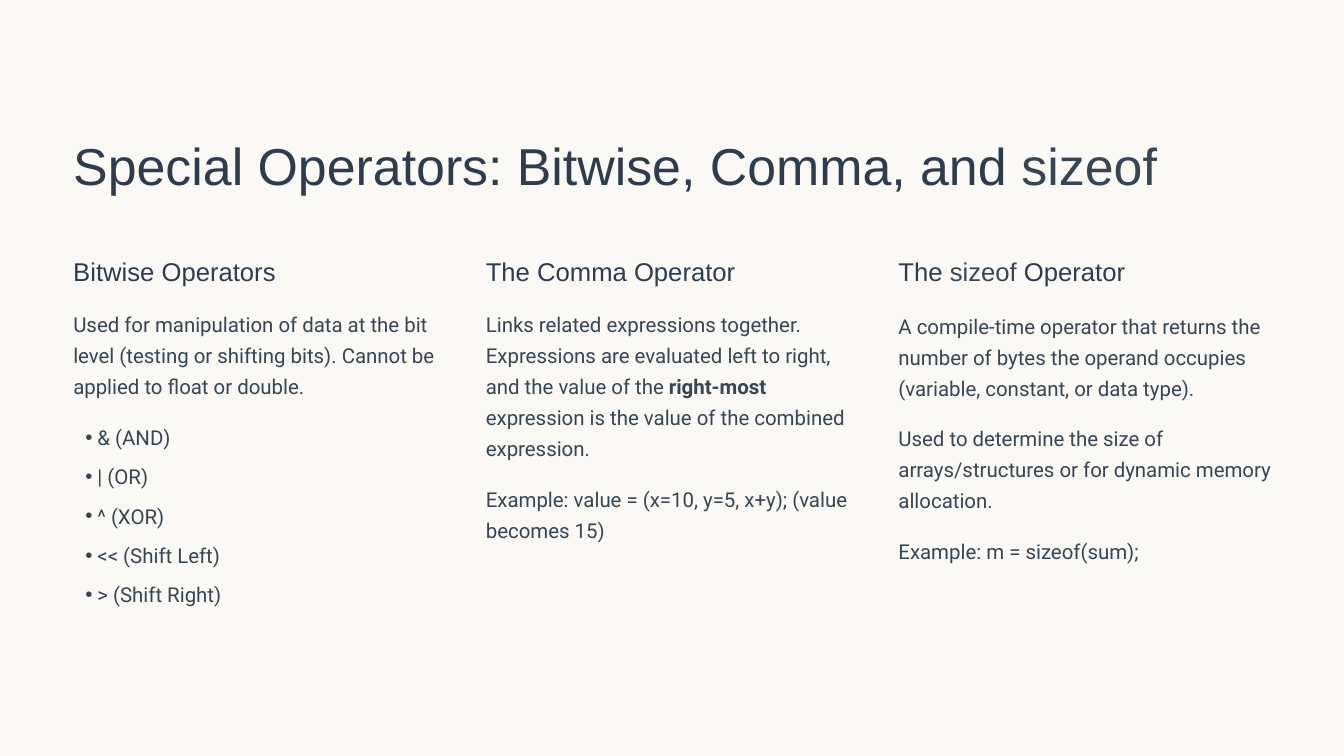
from dataclasses import dataclass

from lxml.etree import SubElement
from pptx import Presentation
from pptx.dml.color import RGBColor
from pptx.enum.shapes import MSO_SHAPE
from pptx.enum.text import MSO_AUTO_SIZE
from pptx.oxml.ns import qn
from pptx.util import Pt

PX = 9144  # EMU per px, 100 px to the inch


@dataclass(frozen=True)
class TextStyle:
    font: str
    size: float
    leading: float
    color: str


@dataclass(frozen=True)
class Theme:
    paper: str = "FAF9F5"
    code: str = "384653"
    title: TextStyle = TextStyle("Arial", 55.56, 69.4, "2E3C4E")
    heading: TextStyle = TextStyle("Arial", 27.5, 34.4, "2E3C4E")
    body: TextStyle = TextStyle("Roboto", 21.87, 33.1, "384653")
    bullet_font: str = "Arial"
    bullet_gap: float = 9
    bullet_indent: int = 18


class Deck:
    def __init__(self, theme, width, height):
        self.theme = theme
        self.prs = Presentation()
        self.prs.slide_width, self.prs.slide_height = width * PX, height * PX

    def add_slide(self):
        self.s = self.prs.slides.add_slide(self.prs.slide_layouts[6])

    def paper(self):
        """Cover the whole slide with the paper colour."""
        sp = self.s.shapes.add_shape(MSO_SHAPE.RECTANGLE, 0, 0,
                                     self.prs.slide_width, self.prs.slide_height)
        sp.shadow.inherit = False
        sp.fill.solid()
        sp.fill.fore_color.rgb = RGBColor.from_string(self.theme.paper)
        sp.line.fill.background()

    def frame(self, x, y, w, h):
        """Add a text box without margins and return its text frame."""
        tf = self.s.shapes.add_textbox(*(v * PX for v in (x, y, w, h))).text_frame
        formats = {
            "margin_left": 0, "margin_top": 0, "margin_right": 0, "margin_bottom": 0,
            "word_wrap": True, "auto_size": MSO_AUTO_SIZE.SHAPE_TO_FIT_TEXT,
        }
        for name, value in formats.items():
            setattr(tf, name, value)
        return tf

    def fill_paragraph(self, p, runs, style):
        """Write runs, each a string or a (string, font overrides) pair."""
        p.line_spacing = Pt(style.leading)
        for run in [runs] if isinstance(runs, str) else runs:
            text, overrides = (run, {}) if isinstance(run, str) else run
            r = p.add_run()
            r.text = text
            formats = {"name": style.font, "size": Pt(style.size), "bold": False,
                       "color": style.color} | overrides
            r.font.color.rgb = RGBColor.from_string(formats.pop("color"))
            for name, value in formats.items():
                setattr(r.font, name, value)

    def text(self, x, y, w, h, runs, style):
        self.fill_paragraph(self.frame(x, y, w, h).paragraphs[0], runs, style)

    def bullets(self, x, y, w, h, items):
        tf = self.frame(x, y, w, h)
        indent = self.theme.bullet_indent * PX
        for i, item in enumerate(items):
            p = tf.add_paragraph() if i else tf.paragraphs[0]
            pPr = p._p.get_or_add_pPr()
            pPr.set("marL", str(2 * indent))
            pPr.set("indent", str(-indent))
            SubElement(pPr, qn("a:buFont"), typeface=self.theme.bullet_font)
            SubElement(pPr, qn("a:buChar"), char="•")
            if i:
                p.space_before = Pt(self.theme.bullet_gap)
            self.fill_paragraph(p, item, self.theme.body)


def main():
    theme = Theme()
    deck = Deck(theme, 2000, 1125)
    deck.add_slide()
    deck.paper()
    left, pitch = 109, 614
    sizeof = ("sizeof", {"color": theme.code})

    deck.text(left, 195, 1654, 110,
              ["Special Operators: Bitwise, Comma, and ", sizeof], theme.title)

    # Each column: heading, text width, then (top, height, runs) of its paragraphs
    columns = [
        ("Bitwise Operators", 542, [
            (455, 149, "Used for manipulation of data at the bit level (testing or "
                       "shifting bits). Cannot be applied to float or double."),
        ]),
        ("The Comma Operator", 542, [
            (455, 241, ["Links related expressions together. Expressions are evaluated "
                        "left to right, and the value of the ",
                        ("right-most", {"bold": True}),
                        " expression is the value of the combined expression."]),
            (715, 102, "Example: value = (x=10, y=5, x+y); (value becomes 15)"),
        ]),
        (["The ", sizeof, " Operator"], 560, [
            (458, 148, "A compile-time operator that returns the number of bytes the "
                       "operand occupies (variable, constant, or data type)."),
            (625, 148, "Used to determine the size of arrays/structures or for dynamic "
                       "memory allocation."),
            (792, 55, "Example: m = sizeof(sum);"),
        ]),
    ]
    for i, (heading, width, paragraphs) in enumerate(columns):
        x = left + i * pitch
        deck.text(x, 379, 390, 53, heading, theme.heading)
        for top, height, runs in paragraphs:
            deck.text(x, top, width, height, runs, theme.body)

    deck.bullets(left, 623, 542, 290, [
        "& (AND)", "| (OR)", "^ (XOR)", "<< (Shift Left)", "> (Shift Right)"])

    deck.prs.save("out.pptx")


if __name__ == "__main__":
    main()
